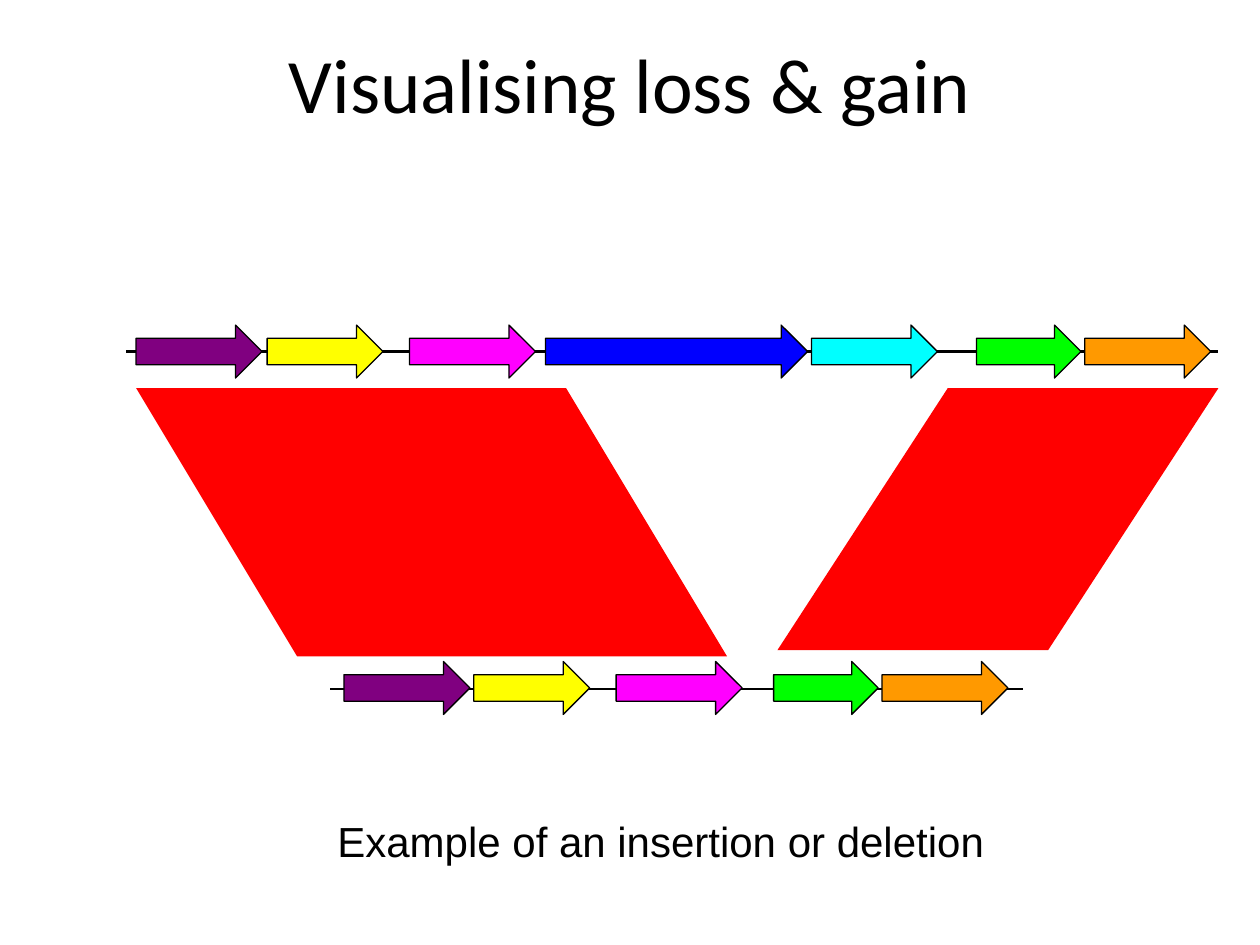
from dataclasses import dataclass

from lxml.etree import SubElement
from pptx import Presentation
from pptx.dml.color import RGBColor
from pptx.enum.shapes import MSO_CONNECTOR as Connector, MSO_SHAPE as Shape
from pptx.enum.text import MSO_ANCHOR as Anchor, PP_ALIGN as Align
from pptx.oxml.ns import qn
from pptx.util import Pt

PX = 9144  # EMU per px, 100 px to the inch
TITLE_ONLY = 5


@dataclass(frozen=True)
class Theme:
    ink: str = "000000"
    match: str = "FF0000"
    title_font: str = "Calibri"
    title_size: int = 44
    caption_font: str = "Arial"
    caption_size: int = 24
    backbone_width: float = 1.5
    gene_outline: float = 0.75


THEME = Theme()
GENE_COLOURS = {
    "purple": "800080", "yellow": "FFFF00", "magenta": "FF00FF",
    "blue": "0000FF", "cyan": "00FFFF", "green": "00FF00", "orange": "FF9900",
}

# Each gene: colour, offset from the left end of its genome, length
LONG_GENOME = [
    ("purple", 8, 100), ("yellow", 112, 92), ("magenta", 225, 100),
    ("blue", 333, 208), ("cyan", 544, 100), ("green", 675, 83),
    ("orange", 761, 100),
]
SHORT_GENOME = [
    ("purple", 11, 100), ("yellow", 114, 92), ("magenta", 227, 100),
    ("green", 352, 83), ("orange", 438, 100),
]


def px(*lengths):
    return [length * PX for length in lengths]


def rgb(colour):
    return RGBColor.from_string(colour)


def set_all(target, formats):
    for name, value in formats.items():
        setattr(target, name, value)


def write(frame, text, font, size, align, anchor):
    left, top = px(10, 5)
    set_all(frame, dict(text=text, word_wrap=True, vertical_anchor=anchor,
                        margin_left=left, margin_right=left,
                        margin_top=top, margin_bottom=top))
    paragraph = frame.paragraphs[0]
    paragraph.alignment = align
    run_font = paragraph.runs[0].font
    set_all(run_font, dict(name=font, size=Pt(size)))
    run_font.color.rgb = rgb(THEME.ink)


def add_filled(slide, preset, box, colour):
    part = slide.shapes.add_shape(preset, *px(*box))
    part.shadow.inherit = False
    part.fill.solid()
    part.fill.fore_color.rgb = rgb(colour)
    return part


def add_title(slide, box, text):
    title = slide.shapes.title
    set_all(title, dict(zip(("left", "top", "width", "height"), px(*box))))
    write(title.text_frame, text, THEME.title_font, THEME.title_size,
          Align.CENTER, Anchor.MIDDLE)


def add_genome(slide, box, axis, genes):
    """Draw a backbone, axis px below the top of the box, and its genes."""
    left, top, width, height = box
    # Backbone
    backbone = slide.shapes.add_connector(
        Connector.STRAIGHT, *px(left, top + axis, left + width, top + axis))
    backbone.line.color.rgb = rgb(THEME.ink)
    backbone.line.width = Pt(THEME.backbone_width)
    SubElement(backbone._element.spPr, qn("a:effectLst"))
    # Genes
    for colour, offset, length in genes:
        gene = add_filled(slide, Shape.RIGHT_ARROW,
                          (left + offset, top, length, height),
                          GENE_COLOURS[colour])
        gene.line.color.rgb = rgb(THEME.ink)
        gene.line.width = Pt(THEME.gene_outline)


def add_match(slide, box, slant, mirrored=False):
    """Draw the band that joins matching stretches of both genomes."""
    band = add_filled(slide, Shape.PARALLELOGRAM, box, THEME.match)
    band.line.fill.background()
    band.adjustments[0] = slant
    band.rotation = 180
    if mirrored:
        band._element.spPr.find(qn("a:xfrm")).set("flipH", "1")


def add_caption(slide, box, text):
    caption = slide.shapes.add_textbox(*px(*box))
    write(caption.text_frame, text, THEME.caption_font, THEME.caption_size,
          Align.LEFT, Anchor.TOP)


def main():
    deck = Presentation()
    deck.slide_width, deck.slide_height = px(1000, 750)
    slide = deck.slides.add_slide(deck.slide_layouts[TITLE_ONLY])

    add_title(slide, (51, 3, 898, 125), "Visualising loss & gain")
    add_genome(slide, (100, 258, 867, 42), 21, LONG_GENOME)
    add_genome(slide, (262, 525, 550, 42), 22, SHORT_GENOME)
    add_match(slide, (108, 308, 469, 213), 0.6, mirrored=True)
    add_match(slide, (617, 308, 350, 208), 0.65)
    add_caption(slide, (258, 642, 590, 50),
                "Example of an insertion or deletion")

    deck.save("out.pptx")


if __name__ == "__main__":
    main()
